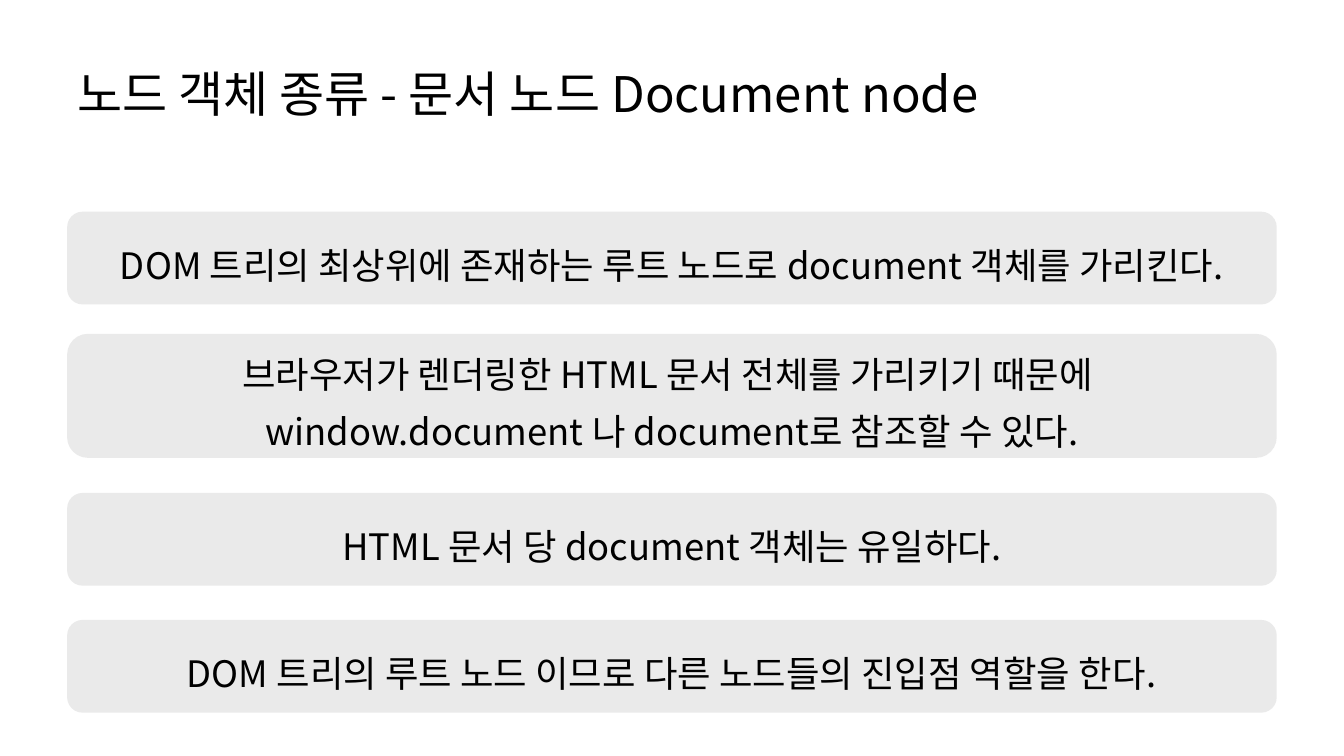
from lxml import etree
from pptx import Presentation
from pptx import util as u
from pptx.dml.color import RGBColor
from pptx.enum import shapes, text
from pptx.oxml.ns import qn

FONT = "Noto Sans CJK KR"
LEFT, WIDTH = 48, 864
CARDS = [  # top, height, lines
    (151.2, 66.24, ["DOM 트리의 최상위에 존재하는 루트 노드로 document 객체를 가리킨다."]),
    (238.5, 88.56, ["브라우저가 렌더링한 HTML 문서 전체를 가리키기 때문에 ",
                    "window.document 나 document로 참조할 수 있다."]),
    (352.1, 66.24, ["HTML 문서 당 document 객체는 유일하다."]),
    (442.8, 66.24, ["DOM 트리의 루트 노드 이므로 다른 노드들의 진입점 역할을 한다."]),
]


def color(hex_code):
    return RGBColor.from_string(hex_code)


def write(tf, lines, size, align, spacing):
    tf.word_wrap = True
    tf.vertical_anchor = text.MSO_ANCHOR.MIDDLE
    for i, line in enumerate(lines):
        p = tf.add_paragraph() if i else tf.paragraphs[0]
        p.alignment = align
        p.line_spacing = spacing
        r = p.add_run()
        r.text = line
        r.font.size = u.Pt(size)
        r.font.name = FONT
        r.font.color.rgb = color("000000")
        etree.SubElement(r.font._element, qn("a:ea"), typeface=FONT)


def add_title(slide, left, top, width, height):
    sp = slide.shapes.add_textbox(*map(u.Pt, (left, top, width, height)))
    write(sp.text_frame, ["노드 객체 종류 - 문서 노드 Document node"],
          35, text.PP_ALIGN.LEFT, 1.0)


def add_card(slide, left, top, width, height, lines):
    """Translucent rounded panel with centred text."""
    sp = slide.shapes.add_shape(shapes.MSO_SHAPE.ROUNDED_RECTANGLE,
                                *map(u.Pt, (left, top, width, height)))
    sp.shadow.inherit = False
    sp.fill.solid()
    sp.fill.fore_color.rgb = color("D9D9D9")
    fill = sp._element.spPr.find(qn("a:solidFill"))
    etree.SubElement(fill[0], qn("a:alpha"), val="54000")
    sp.line.fill.background()
    tf = sp.text_frame
    tf.margin_top = tf.margin_bottom = 0
    write(tf, lines, 26, text.PP_ALIGN.CENTER, 1.3)


def main():
    prs = Presentation()
    prs.slide_width, prs.slide_height = u.Pt(960), u.Pt(540)
    slide = prs.slides.add_slide(prs.slide_layouts[6])
    add_title(slide, LEFT, 21.6, WIDTH, 90)
    for top, height, lines in CARDS:
        add_card(slide, LEFT, top, WIDTH, height, lines)
    prs.save("out.pptx")


if __name__ == "__main__":
    main()
